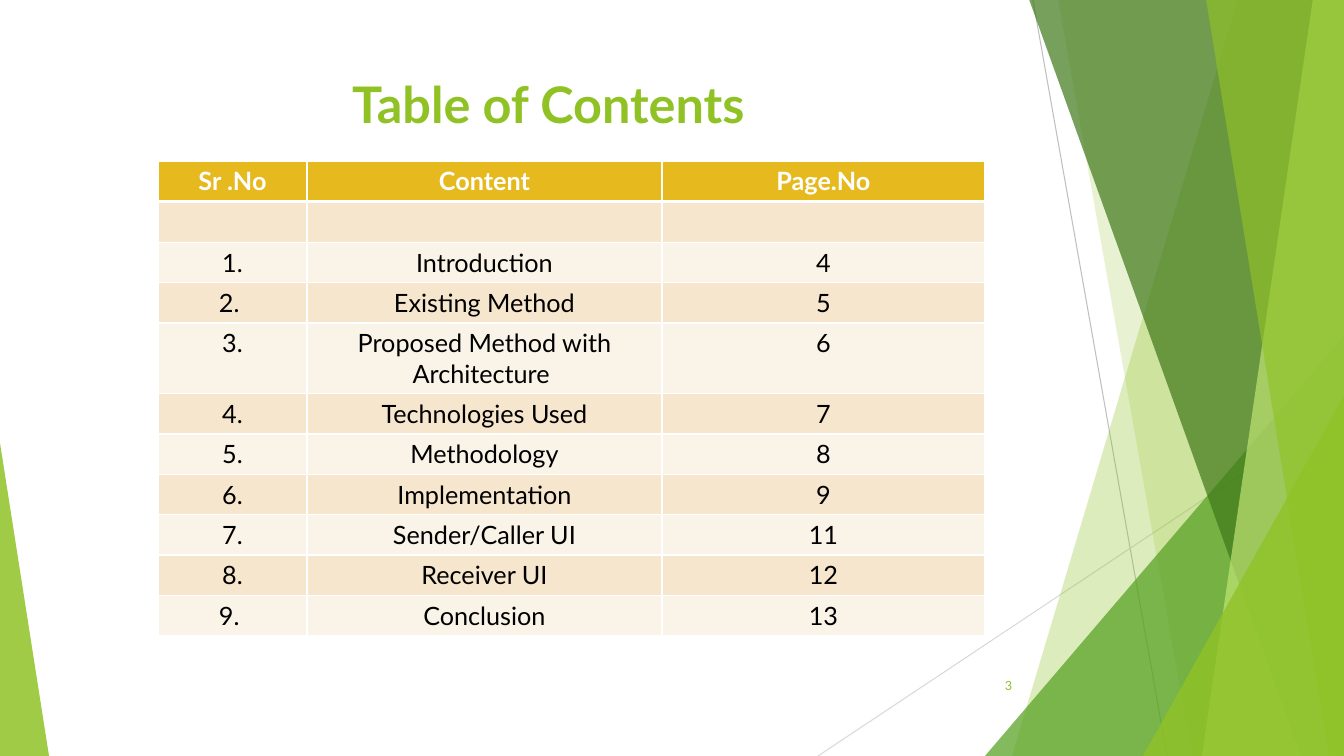
from lxml import etree
from pptx import Presentation
from pptx import util as u
from pptx.dml.color import RGBColor
from pptx.enum import shapes, text
from pptx.oxml import ns

PIXEL = 914400 / 100.8
WIDTH, HEIGHT = 1344, 756


def px(value):
    return u.Emu(round(value * PIXEL))


def color(value):
    return RGBColor.from_string(value)


def child(parent, tag, **attributes):
    return etree.SubElement(parent, ns.qn(tag), attributes)


class SlideBuilder:
    font = "Lato"
    green = "90C226"
    white = "FFFFFF"
    black = "000000"
    header = "E6B91E"
    bands = ("F5E6CD", "FAF3E8")

    def __init__(self, slide):
        self.slide = slide
        self.shapes = slide.shapes

    def set_text(self, frame, words, size, ink, bold=False, align=text.PP_ALIGN.CENTER):
        frame.text = words
        para = frame.paragraphs[0]
        para.alignment = align
        for span in para.runs:
            span.font.name = self.font
            span.font.size = u.Pt(size)
            span.font.bold = bold
            span.font.color.rgb = color(ink)

    def paint(self, shape, fill, opacity):
        shape.shadow.inherit = False
        shape.line.fill.background()
        shape.fill.solid()
        shape.fill.fore_color.rgb = color(fill)
        tint = shape._element.spPr.find(ns.qn("a:solidFill")).find(ns.qn("a:srgbClr"))
        child(tint, "a:alpha", val=str(opacity * 1000))

    def line(self, start, end, ink):
        connector = self.shapes.add_connector(
            shapes.MSO_CONNECTOR.STRAIGHT, *map(px, start + end))
        connector.line.color.rgb = color(ink)
        connector.line.width = u.Pt(0.75)
        child(connector._element.spPr, "a:effectLst")

    def band(self, top_left, top_right, bottom_right, bottom_left, fill, opacity):
        outline = self.shapes.build_freeform(top_left, -1, PIXEL)
        outline.add_line_segments(
            [(top_right, -1), (bottom_right, HEIGHT), (bottom_left, HEIGHT)])
        self.paint(outline.convert_to_shape(), fill, opacity)

    def triangle(self, left, top, width, peak, fill, opacity):
        shape = self.shapes.add_shape(
            shapes.MSO_SHAPE.ISOSCELES_TRIANGLE,
            px(left), px(top), px(width), px(HEIGHT - top))
        shape.adjustments[0] = peak
        self.paint(shape, fill, opacity)

    def title(self, words, left, top, width, height):
        box = self.shapes.title
        box.left, box.top, box.width, box.height = map(px, (left, top, width, height))
        box.text_frame.vertical_anchor = text.MSO_ANCHOR.TOP
        self.set_text(box.text_frame, words, 36, self.green, bold=True)
        self.shapes._spTree.append(box._element)

    def page_number(self, words, left, top, width, height):
        box = self.shapes.add_textbox(*map(px, (left, top, width, height)))
        box.text_frame.word_wrap = True
        box.text_frame.vertical_anchor = text.MSO_ANCHOR.MIDDLE
        self.set_text(box.text_frame, words, 9, self.green, align=text.PP_ALIGN.RIGHT)

    def borders(self, cell, bottom):
        properties = cell._tc.get_or_add_tcPr()
        for side, points in (("L", 1), ("R", 1), ("T", 1), ("B", bottom)):
            edge = child(properties, "a:ln" + side, w=str(int(u.Pt(points))))
            child(child(edge, "a:solidFill"), "a:srgbClr", val=self.white)

    def table(self, rows, left, top, widths, heights):
        frame = self.shapes.add_table(
            len(rows), len(widths), px(left), px(top), px(sum(widths)), px(sum(heights)))
        table = frame.table
        table.horz_banding = False
        for column, width in zip(table.columns, widths):
            column.width = px(width)
        for index, (row, height, words) in enumerate(zip(table.rows, heights, rows)):
            row.height = px(height)
            heading = index == 0
            fill = self.header if heading else self.bands[(index - 1) % 2]
            for cell, word in zip(row.cells, words):
                self.borders(cell, 3 if heading else 1)
                cell.fill.solid()
                cell.fill.fore_color.rgb = color(fill)
                self.set_text(cell.text_frame, word, 18,
                              self.white if heading else self.black, bold=heading)


deck = Presentation()
deck.slide_width, deck.slide_height = px(WIDTH), px(HEIGHT)
page = SlideBuilder(deck.slides.add_slide(deck.slide_layouts[5]))

page.line((1033, 0), (1167, HEIGHT), "BFBFBF")
page.line((WIDTH, 406), (818, HEIGHT), "D9D9D9")
page.band(1238, WIDTH, WIDTH, 1012, page.green, 30)
page.band(1058, WIDTH, WIDTH, 1192, page.green, 20)
page.triangle(985, 336, 359, 1, "54A021", 72)
page.band(1029, WIDTH, WIDTH, 1301, "3F7819", 70)
page.band(1313, WIDTH, WIDTH, 1202, "C0E474", 70)
page.band(1206, WIDTH, WIDTH, 1329, page.green, 65)
page.triangle(1143, 396, 201, 1, page.green, 80)
page.triangle(0, 443, 49, 0, page.green, 85)

page.title("Table of Contents", 75, 68, 947, 145)

contents = [
    ("Sr .No", "Content", "Page.No"),
    ("", "", ""),
    ("1.", "Introduction", "4"),
    ("2. ", "Existing Method", "5"),
    ("3.", "Proposed Method with Architecture ", "6"),
    ("4.", "Technologies Used", "7"),
    ("5.", "Methodology", "8"),
    ("6.", "Implementation", "9"),
    ("7.", "Sender/Caller UI", "11"),
    ("8.", "Receiver UI", "12"),
    ("9. ", "Conclusion", "13"),
]
row_heights = [68 if "Architecture" in words[1] else 40 for words in contents]
page.table(contents, 158, 161, (149, 355, 323), row_heights)
page.page_number("3", 947, 666, 75, 40)

deck.save("out.pptx")
